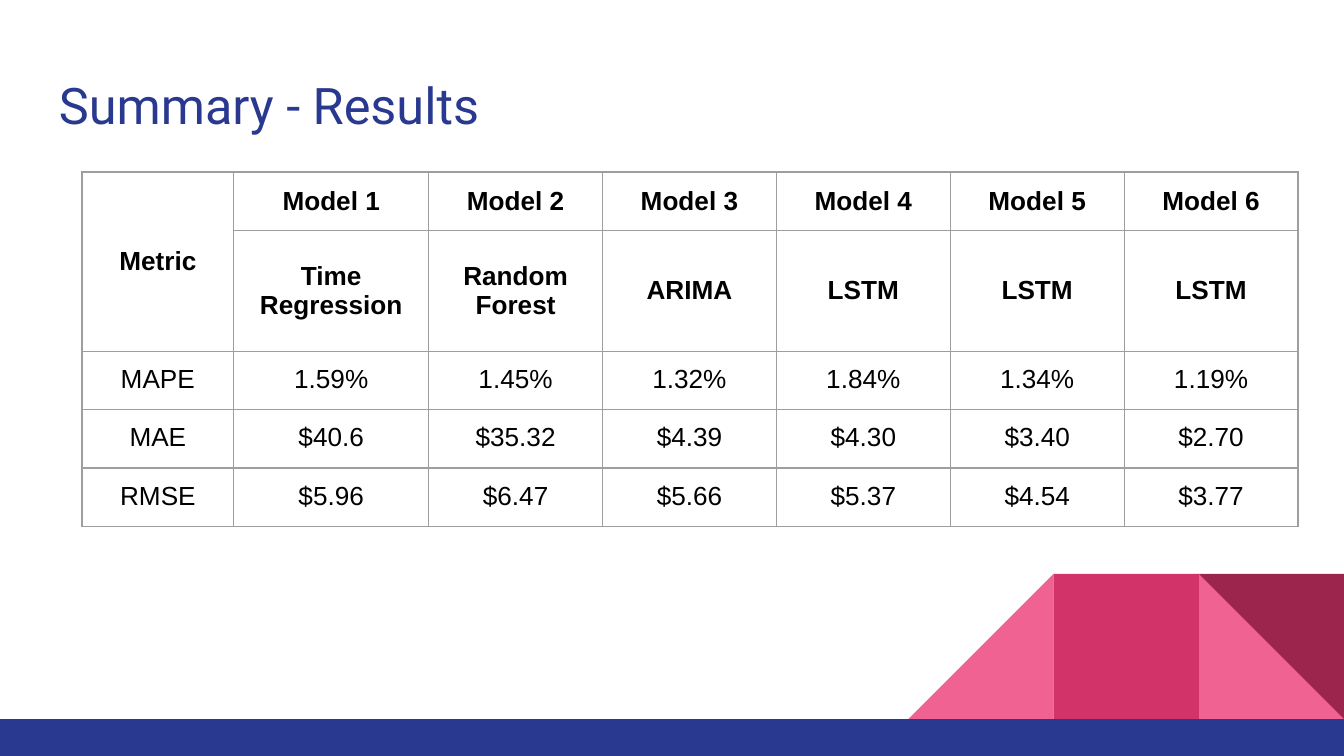
from lxml.etree import SubElement
from pptx import Presentation
from pptx.dml.color import RGBColor
from pptx.enum.shapes import MSO_SHAPE
from pptx.enum.text import MSO_ANCHOR, PP_ALIGN
from pptx.oxml.ns import qn
from pptx.util import Inches, Pt

WIDE = 10
HIGH = WIDE * 9 / 16
HUES = {
    "blue": "2A3990",
    "pink": "F06292",
    "rose": "D23369",
    "wine": "9C254D",
    "grey": "9E9E9E",
    "black": "000000",
}
PAD = {f"margin_{side}": Inches(0.1) for side in ("left", "right", "top", "bottom")}
TITLE = {"name": "Roboto", "size": Pt(27), "bold": False}
HEAD = {"name": "Arial", "size": Pt(14), "bold": True}
BODY = {**HEAD, "bold": False}
FIRST = [1.13, 1.45]
ROWS = [0.43, 0.9] + [0.43] * 3
DATA = [
    ["Metric"] + [f"Model {n}" for n in range(1, 7)],
    ["", "Time Regression", "Random Forest", "ARIMA", "LSTM", "LSTM", "LSTM"],
    ["MAPE", "1.59%", "1.45%", "1.32%", "1.84%", "1.34%", "1.19%"],
    ["MAE", "$40.6", "$35.32", "$4.39", "$4.30", "$3.40", "$2.70"],
    ["RMSE", "$5.96", "$6.47", "$5.66", "$5.37", "$4.54", "$3.77"],
]


def apply(item, values):
    for name, value in values.items():
        setattr(item, name, value)


def write(frame, text, style, hue):
    para = frame.paragraphs[0]
    run = para.add_run()
    run.text = text
    apply(run.font, style)
    run.font.color.rgb = RGBColor.from_string(HUES[hue])
    return para


def add_block(slide, kind, box, hue, turn=0, flip=False):
    block = slide.shapes.add_shape(kind, *map(Inches, box))
    block.shadow.inherit = False
    block.fill.solid()
    block.fill.fore_color.rgb = RGBColor.from_string(HUES[hue])
    block.line.fill.background()
    block.rotation = turn
    if flip:
        block._element.spPr.find(qn("a:xfrm")).set("flipH", "1")


def add_footer(slide, left, top, width, height):
    side = 1.08
    right = left + width
    tri, rect = MSO_SHAPE.RIGHT_TRIANGLE, MSO_SHAPE.RECTANGLE
    parts = [
        (1, tri, "pink", 0, False),
        (3, tri, "pink", 0, True),
        (2, rect, "rose", 0, False),
        (1, tri, "wine", 180, False),
    ]
    for step, kind, hue, turn, flip in parts:
        box = (right - step * side, top, side, side)
        add_block(slide, kind, box, hue, turn, flip)
    add_block(slide, rect, (left, top + side, width, height - side), "blue")


def add_title(slide, *box):
    frame = slide.shapes.add_textbox(*map(Inches, box)).text_frame
    apply(frame, {**PAD, "word_wrap": True, "vertical_anchor": MSO_ANCHOR.TOP})
    write(frame, "Summary - Results", TITLE, "blue")


def add_edges(cell):
    props = cell._tc.get_or_add_tcPr()
    for tag in ("lnL", "lnR", "lnT", "lnB"):
        line = SubElement(props, qn(f"a:{tag}"), w=str(Pt(0.75)))
        fill = SubElement(line, qn("a:solidFill"))
        SubElement(fill, qn("a:srgbClr"), val=HUES["grey"])
    cell.fill.background()


def add_results(slide, left, top, width):
    rest = len(DATA[0]) - len(FIRST)
    cols = FIRST + [(width - sum(FIRST)) / rest] * rest
    box = (left, top, width, sum(ROWS))
    table = slide.shapes.add_table(len(ROWS), len(cols), *map(Inches, box)).table
    apply(table, {"first_row": False, "horz_banding": False})
    for col, size in zip(table.columns, cols):
        col.width = Inches(size)
    for row, size in zip(table.rows, ROWS):
        row.height = Inches(size)
    table.cell(0, 0).merge(table.cell(1, 0))
    for i, line in enumerate(DATA):
        head = i < 2
        anchor = MSO_ANCHOR.MIDDLE if head else MSO_ANCHOR.TOP
        for j, text in enumerate(line):
            cell = table.cell(i, j)
            apply(cell, {**PAD, "vertical_anchor": anchor})
            add_edges(cell)
            if text:
                para = write(cell.text_frame, text, HEAD if head else BODY, "black")
                para.alignment = PP_ALIGN.CENTER


def main():
    deck = Presentation()
    apply(deck, {"slide_width": Inches(WIDE), "slide_height": Inches(HIGH)})
    slide = deck.slides.add_slide(deck.slide_layouts[6])
    add_footer(slide, 0, 4.27, WIDE, HIGH - 4.27)
    add_title(slide, 0.34, 0.45, 9.32, 0.66)
    add_results(slide, 0.61, 1.28, 9.05)
    deck.save("out.pptx")


if __name__ == "__main__":
    main()
